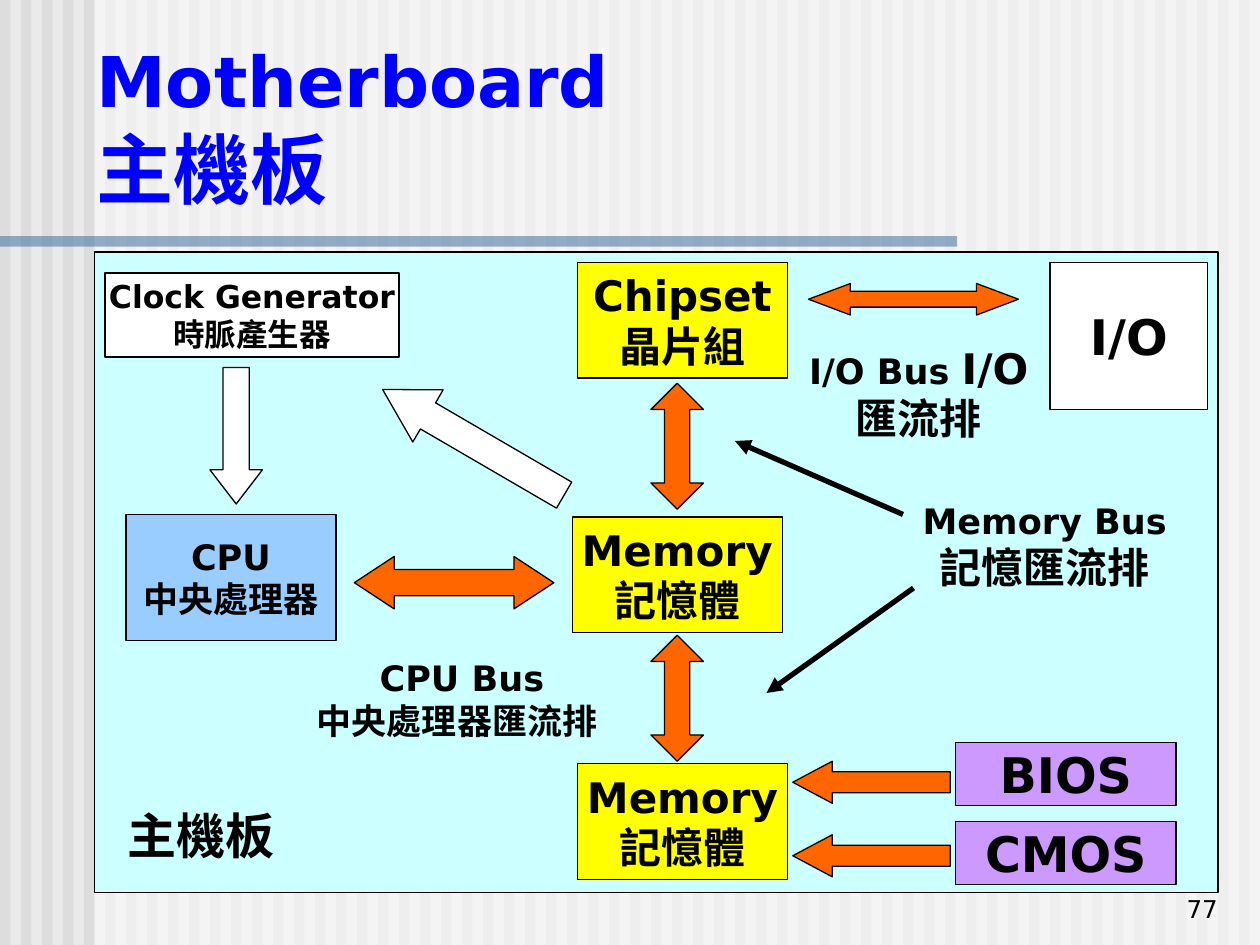
import pptx
import pptx.dml.color
import pptx.enum.shapes
import pptx.enum.text
import pptx.oxml.ns
import pptx.util
from lxml import etree

Pt = pptx.util.Pt
color = pptx.dml.color.RGBColor.from_string
SHAPE = pptx.enum.shapes.MSO_SHAPE
ALIGN = pptx.enum.text.PP_ALIGN
ANCHOR = pptx.enum.text.MSO_ANCHOR
qn = pptx.oxml.ns.qn
FONT = "DejaVu Sans"
BREAK = ("\n", None)

presentation = pptx.Presentation()
presentation.slide_width, presentation.slide_height = Pt(720), Pt(540)
slide = presentation.slides.add_slide(presentation.slide_layouts[6])
slide.background.fill.solid()
slide.background.fill.fore_color.rgb = color("EAEAEA")


def add_block(kind, box, fill, outlined=True, opacity=100):
    shape = slide.shapes.add_shape(kind, *map(Pt, box))
    shape.shadow.inherit = False
    shape.fill.solid()
    shape.fill.fore_color.rgb = color(fill)
    if opacity < 100:
        fill_color = shape.fill._xPr.find(qn("a:solidFill"))[0]
        etree.SubElement(fill_color, qn("a:alpha"), val=str(opacity * 1000))
    if outlined:
        shape.line.color.rgb = color("000000")
        shape.line.width = Pt(0.75)
    else:
        shape.line.fill.background()
    return shape


def write_text(shape, paragraphs, align=ALIGN.CENTER, anchor=ANCHOR.MIDDLE,
               wrap=False, text_color="000000", bold=True):
    """Each paragraph is a list of (text, size) runs."""
    frame = shape.text_frame
    frame.word_wrap = wrap
    frame.vertical_anchor = anchor
    for index, runs in enumerate(paragraphs):
        paragraph = frame.paragraphs[0] if index == 0 else frame.add_paragraph()
        paragraph.alignment = align
        font = paragraph.font
        font.name, font.bold, font.size = FONT, bold, Pt(runs[0][1])
        font.color.rgb = color(text_color)
        defaults = paragraph._p.pPr.find(qn("a:defRPr"))
        etree.SubElement(defaults, qn("a:ea"), typeface=FONT)
        for text, size in runs:
            if text == "\n":
                paragraph.add_line_break()
                continue
            run = paragraph.add_run()
            run.text = text
            if size != runs[0][1]:
                run.font.size = Pt(size)


# Striped background, veil and title rule
for stripe in range(60):
    add_block(SHAPE.RECTANGLE, (12 * stripe, 0, 6, 540), "DDDDDD", outlined=False)
add_block(SHAPE.RECTANGLE, (54, 0, 666, 540), "FFFFFF", outlined=False, opacity=50)
add_block(SHAPE.RECTANGLE, (0, 135, 547, 6), "336699", outlined=False, opacity=50)

# Title
title = slide.shapes.add_textbox(Pt(48), Pt(18), Pt(630), Pt(108))
write_text(title, [[("Motherboard", 40), BREAK, ("主機板", 44)]],
           align=ALIGN.LEFT, anchor=ANCHOR.TOP, wrap=True, text_color="0000FF")

# Motherboard panel
add_block(SHAPE.RECTANGLE, (54, 144, 642, 366), "CCFFFF")

# Components: box, fill, text size, lines
components = [
    ((60, 156, 168, 48), "FFFFFF", 18, ["Clock Generator", "時脈產生器"]),
    ((546, 469.5, 126, 36), "CC99FF", 28, ["CMOS"]),
    ((546, 424.5, 126, 36), "CC99FF", 28, ["BIOS"]),
    ((330, 436.5, 120, 66), "FFFF00", 24, ["Memory", "記憶體"]),
    ((72, 294, 120, 72), "99CCFF", 20, ["CPU", "中央處理器"]),
    ((327, 295.5, 120, 66), "FFFF00", 24, ["Memory", "記憶體"]),
    ((330, 150, 120, 66), "FFFF00", 24, ["Chipset", "晶片組"]),
    ((600, 150, 90, 84), "FFFFFF", 28, ["I/O"]),
]
for box, fill, size, lines in components:
    component = add_block(SHAPE.RECTANGLE, box, fill)
    write_text(component, [[(line, size)] for line in lines])

# Block arrows: kind, box, fill, head length, rotation
block_arrows = [
    (SHAPE.LEFT_ARROW, (453, 435, 90, 24), "FF6600", 0.94, 0),
    (SHAPE.LEFT_ARROW, (453, 477, 90, 24), "FF6600", 0.94, 0),
    (SHAPE.DOWN_ARROW, (120, 210, 30, 78), "FFFFFF", 0.65, 0),
    (SHAPE.UP_DOWN_ARROW, (372, 363, 30, 72), "FF6600", 0.48, 0),
    (SHAPE.UP_DOWN_ARROW, (372, 219, 30, 72), "FF6600", 0.48, 0),
    (SHAPE.LEFT_RIGHT_ARROW, (202.5, 318, 114, 30), "FF6600", 0.76, 0),
    (SHAPE.LEFT_ARROW, (210.5, 235.5, 120, 34.5), "FFFFFF", 0.87, 30.2),
    (SHAPE.LEFT_RIGHT_ARROW, (462, 162, 120, 18), "FF6600", 1.33, 0),
]
for kind, box, fill, head_length, rotation in block_arrows:
    arrow = add_block(kind, box, fill)
    arrow.adjustments[0] = 0.5
    arrow.adjustments[1] = head_length
    arrow.rotation = rotation

# Pointers from the memory bus label
for ends in [(516, 294, 420, 252), (522, 336, 438, 396)]:
    pointer = slide.shapes.add_connector(
        pptx.enum.shapes.MSO_CONNECTOR.STRAIGHT, *map(Pt, ends))
    pointer.line.color.rgb = color("000000")
    pointer.line.width = Pt(3)
    etree.SubElement(pointer.line._get_or_add_ln(), qn("a:tailEnd"), type="triangle")
    etree.SubElement(pointer._element.spPr, qn("a:effectLst"))

# Labels: box, paragraphs, alignment
labels = [
    ((66, 457, 156, 41), [[("主機板", 28)]], ALIGN.LEFT),
    ((516, 282, 162, 60), [[("Memory Bus", 20), BREAK, ("記憶匯流排", 24)]], ALIGN.CENTER),
    ((450, 192, 150, 65), [[("I/O Bus ", 20), ("I/O", 24), BREAK, ("匯流排", 24)]], ALIGN.CENTER),
]
for box, paragraphs, align in labels:
    label = slide.shapes.add_textbox(*map(Pt, box))
    write_text(label, paragraphs, align=align, anchor=ANCHOR.TOP, wrap=True)

# CPU bus label, with tight lines
cpu_bus = slide.shapes.add_textbox(Pt(174), Pt(380), Pt(180), Pt(46))
write_text(cpu_bus, [[("CPU Bus", 20)], [("中央處理器匯流排", 20)]],
           anchor=ANCHOR.TOP, wrap=True)
for paragraph in cpu_bus.text_frame.paragraphs:
    paragraph.line_spacing = 0.6
paragraph.space_before = Pt(10)
paragraph.alignment = ALIGN.LEFT

# Slide number
number = slide.shapes.add_textbox(Pt(553), Pt(495), Pt(150), Pt(36))
write_text(number, [[("77", 14)]], align=ALIGN.RIGHT, anchor=ANCHOR.BOTTOM,
           wrap=True, bold=False)

presentation.save("out.pptx")
